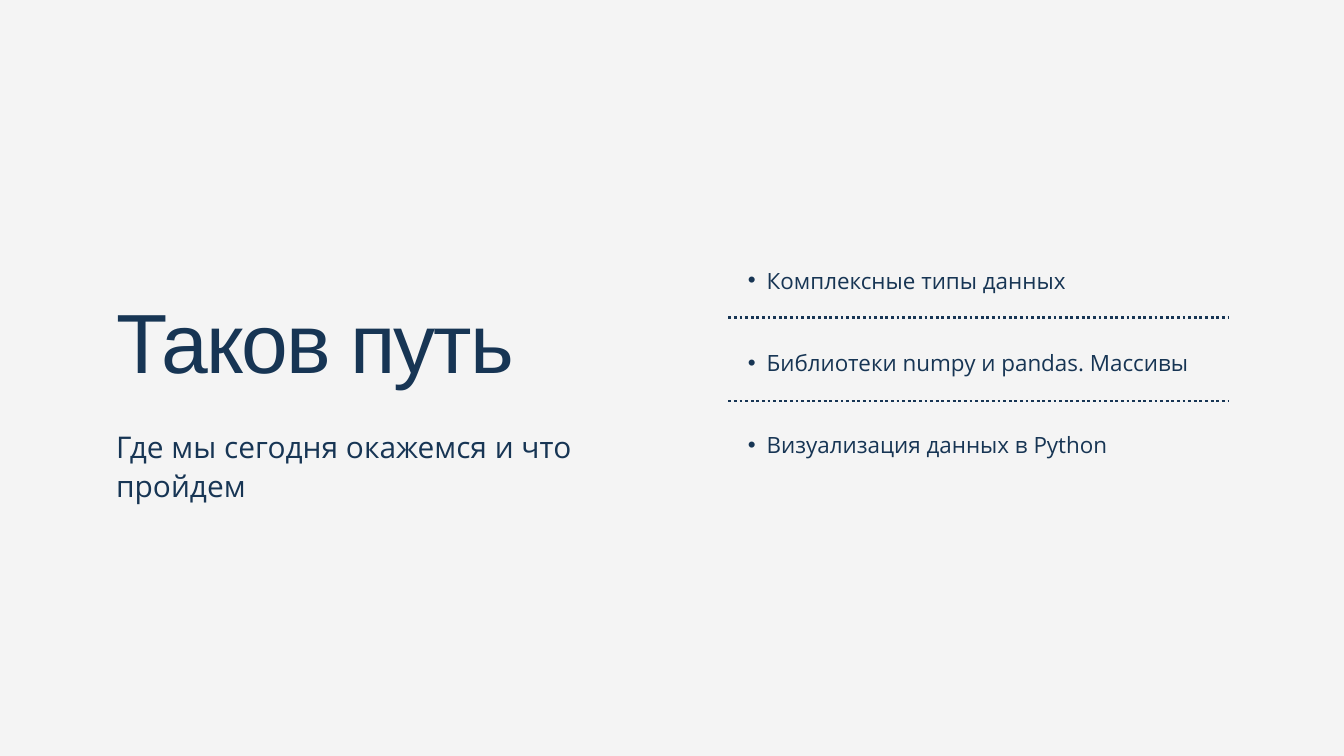
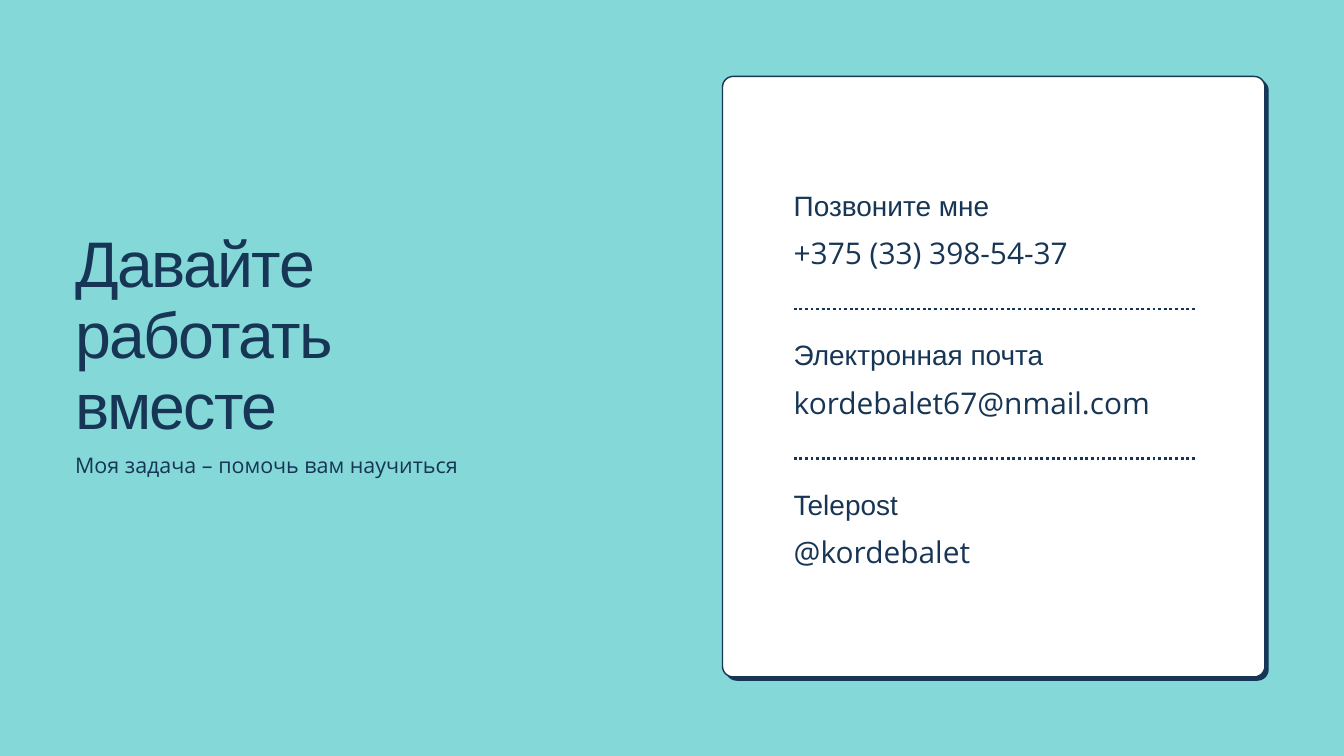
"""Build the lesson plan slide and the contacts slide."""
from lxml.etree import SubElement
from pptx import Presentation
from pptx.dml.color import RGBColor
from pptx.enum.dml import MSO_LINE
from pptx.enum.shapes import MSO_CONNECTOR, MSO_SHAPE
from pptx.enum.text import MSO_ANCHOR, MSO_AUTO_SIZE, PP_ALIGN
from pptx.oxml.ns import qn
from pptx.util import Cm, Pt

PLAN = {
    "title": "Таков путь",
    "subtitle": "Где мы сегодня окажемся и что пройдем",
    "topics": [
        "Комплексные типы данных",
        "Библиотеки numpy и pandas. Массивы",
        "Визуализация данных в Python",
    ],
}
CONTACTS = {
    "title": "Давайте работать вместе",
    "subtitle": "Моя задача – помочь вам научиться",
    "channels": [
        ("Позвоните мне", "+375 (33) 398-54-37"),
        ("Электронная почта", "kordebalet67@nmail.com"),
        ("Telepost", "@kordebalet"),
    ],
}

COLORS = {"navy": "173554", "grey": "F4F4F4", "teal": "84D8D8", "white": "FFFFFF"}
HEAD, BODY = "Arial", "Open Sans"
TWO_BODIES, ONE_BODY = 3, 1


def rgb(name):
    return RGBColor.from_string(COLORS[name])


def place(sp, left, top, width, height):
    sp.left, sp.top, sp.width, sp.height = Cm(left), Cm(top), Cm(width), Cm(height)


def write(sp, lines, font, size, leading, gap=0, spc=0, bullet=False):
    tf = sp.text_frame
    tf.word_wrap = True
    tf.auto_size = MSO_AUTO_SIZE.NONE
    tf.vertical_anchor = MSO_ANCHOR.TOP
    tf.margin_left = tf.margin_top = tf.margin_right = tf.margin_bottom = 0
    for i, line in enumerate(lines):
        p = tf.add_paragraph() if i else tf.paragraphs[0]
        p.alignment = PP_ALIGN.LEFT
        p.line_spacing = Pt(leading)
        p.space_before, p.space_after = Pt(0), Pt(gap)
        pPr = p._p.get_or_add_pPr()
        pPr.set("marL", str(Cm(1.45) if bullet else 0))
        pPr.set("indent", str(Cm(-0.71) if bullet else 0))
        if bullet:
            SubElement(pPr, qn("a:buFont"), typeface="Arial")
            SubElement(pPr, qn("a:buChar"), char="•")
        else:
            SubElement(pPr, qn("a:buNone"))
        r = p.add_run()
        r.text = line
        r.font.name, r.font.size = font, Pt(size)
        r.font.color.rgb = rgb("navy")
        if spc:
            r._r.get_or_add_rPr().set("spc", str(spc))


def add_text(s, box, line, font, size, leading):
    sp = s.shapes.add_textbox(0, 0, 0, 0)
    place(sp, *box)
    write(sp, [line], font, size, leading)


def add_rule(s, left, top, width):
    ln = s.shapes.add_connector(
        MSO_CONNECTOR.STRAIGHT, Cm(left), Cm(top), Cm(left + width), Cm(top))
    ln.line.color.rgb = rgb("navy")
    ln.line.width = Pt(3)
    ln.line.dash_style = MSO_LINE.ROUND_DOT
    SubElement(ln._element.spPr, qn("a:effectLst"))


def add_panel(s, left, top, width, height, fill):
    sp = s.shapes.add_shape(MSO_SHAPE.ROUNDED_RECTANGLE, 0, 0, 0, 0)
    place(sp, left, top, width, height)
    sp.adjustments[0] = 0.4 / width
    sp.shadow.inherit = False
    sp.fill.solid()
    sp.fill.fore_color.rgb = rgb(fill)
    sp.line.color.rgb = rgb("navy")
    sp.line.width = Pt(1.5)


def new_slide(prs, layout, background):
    s = prs.slides.add_slide(prs.slide_layouts[layout])
    s.background.fill.solid()
    s.background.fill.fore_color.rgb = rgb(background)
    return s


def add_heading(s, content, title_box, title_style, sub_box, sub_style):
    place(s.shapes.title, *title_box)
    size, leading, spc = title_style
    write(s.shapes.title, [content["title"]], HEAD, size, leading, spc=spc)
    sub = s.placeholders[1]
    place(sub, *sub_box)
    write(sub, [content["subtitle"]], BODY, *sub_style)


def plan_slide(prs):
    s = new_slide(prs, TWO_BODIES, "grey")
    add_heading(s, PLAN, (4.39, 11.25, 19.1, 3.66), (90, 99, -220),
                (4.39, 16.08, 19.1, 2.92), (32, 41.6))
    left, top, width, pitch = 27.53, 9.91, 18.87, 3.11
    topics = s.placeholders[2]
    place(topics, left, top, width, 7.34)
    leading = 33.6
    write(topics, PLAN["topics"], BODY, 24, leading,
          gap=Cm(pitch).pt - leading, bullet=True)
    for i in range(len(PLAN["topics"]) - 1):
        add_rule(s, left, top + 2.1 + i * 3.15, width)


def contacts_slide(prs):
    s = new_slide(prs, ONE_BODY, "teal")
    add_panel(s, 27.45, 3.02, 20.48, 22.69, "navy")
    add_panel(s, 27.31, 2.89, 20.5, 22.7, "white")
    add_heading(s, CONTACTS, (2.84, 8.69, 17.7, 8.04), (69, 75.9, -170),
                (2.84, 16.99, 17.7, 1.02), (23, 29.9))
    left, width, pitch = 30, 15.24, 5.66
    for i, (label, value) in enumerate(CONTACTS["channels"]):
        top = 7.01 + i * pitch
        add_text(s, (left, top, width, 1.35), label, HEAD, 30, 39)
        add_text(s, (left, top + 1.74, width, 1.42), value, BODY, 32, 41.6)
        if i:
            add_rule(s, left, top - 0.99, width)


def main():
    prs = Presentation()
    prs.slide_width, prs.slide_height = Cm(50.8), Cm(28.58)
    plan_slide(prs)
    contacts_slide(prs)
    prs.save("out.pptx")


if __name__ == "__main__":
    main()
